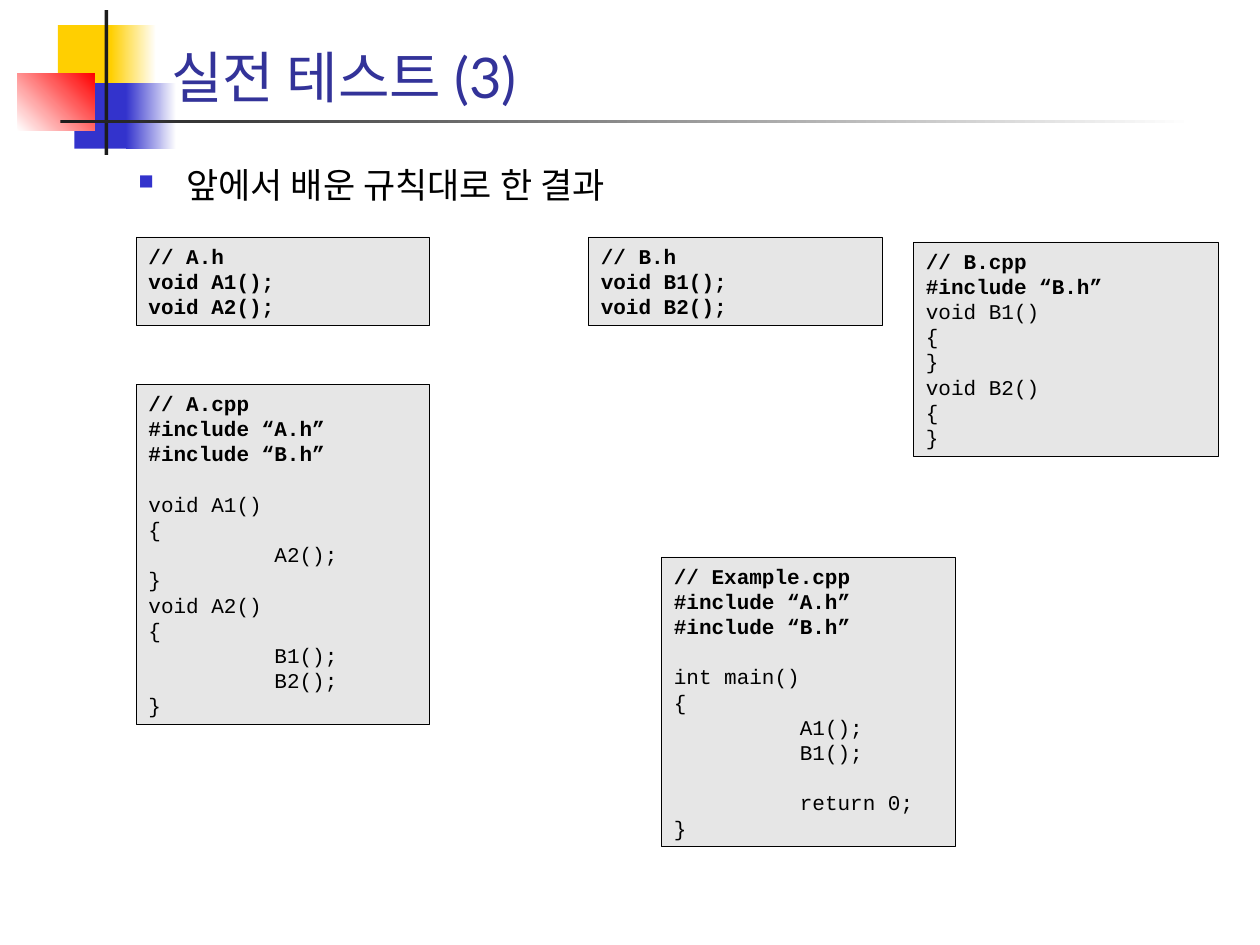
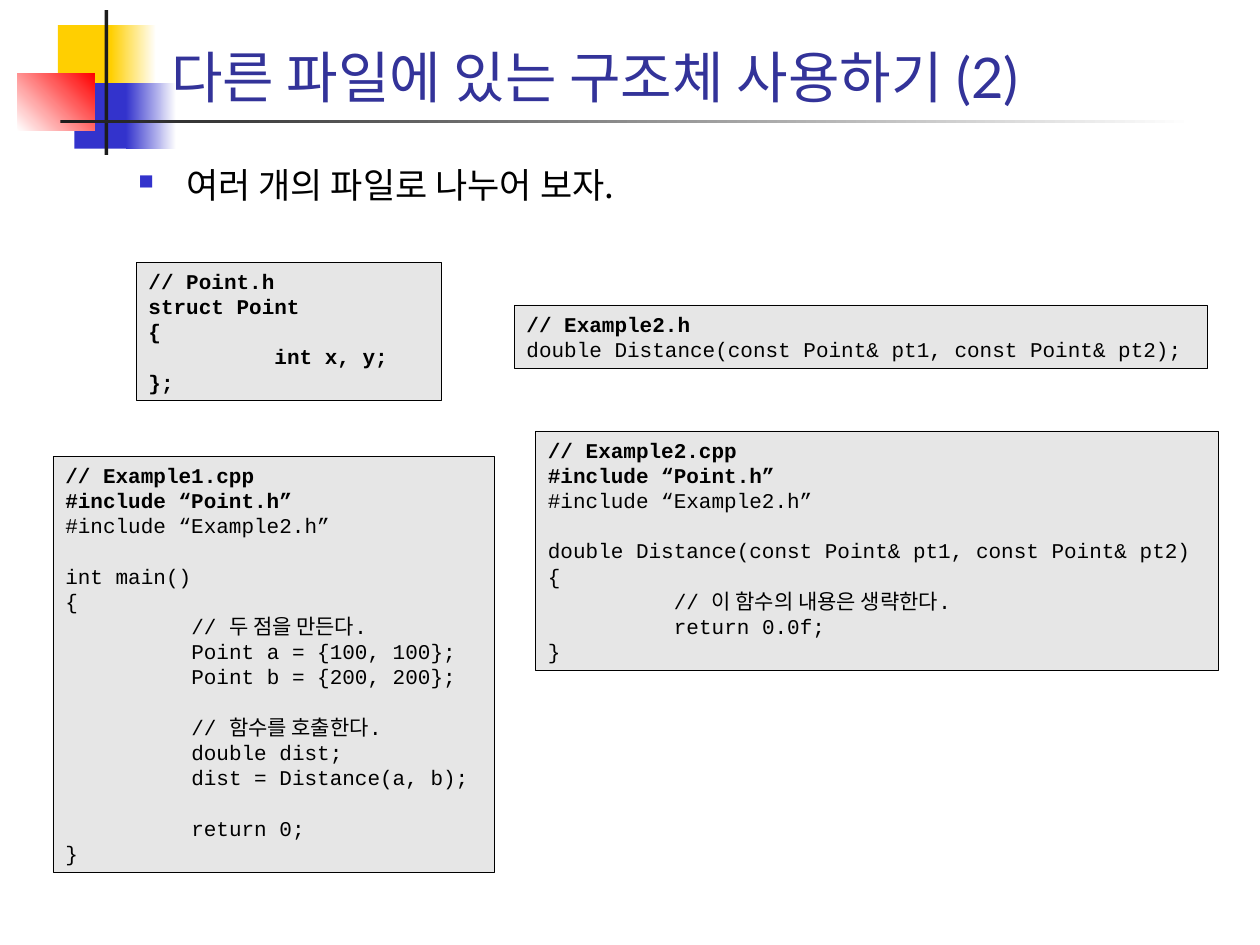
from lxml.etree import SubElement
from pptx import Presentation
from pptx.dml.color import RGBColor
from pptx.enum.shapes import MSO_SHAPE
from pptx.enum.text import MSO_ANCHOR, MSO_AUTO_SIZE, PP_ALIGN
from pptx.oxml.ns import qn
from pptx.util import Inches, Pt

WHITE = RGBColor(0xFF, 0xFF, 0xFF)
BLACK = RGBColor(0x00, 0x00, 0x00)
INK = RGBColor(0x1C, 0x1C, 0x1C)
GOLD = RGBColor(0xFF, 0xCF, 0x01)
BLUE = RGBColor(0x33, 0x33, 0xCC)
NAVY = RGBColor(0x33, 0x33, 0x99)
RED = RGBColor(0xFF, 0x00, 0x00)
GRAY = RGBColor(0xE6, 0xE6, 0xE6)

HANGUL = "Noto Sans CJK KR"
TITLE = {"name": "Lato", "size": Pt(32)}
POINT = {"name": HANGUL, "size": Pt(20)}
CODE = {"name": "Courier New", "size": Pt(12)}
LINE = 0.2  # height of a code line, inches
PAD = 0.05

# left, top, width, height, start colour, end colour, angle
BANDS = [
    (0.46, 0.2, 0.48, 0.52, GOLD, None, 0),
    (0.88, 0.2, 0.36, 0.52, GOLD, WHITE, 0),
    (0.59, 0.66, 0.46, 0.52, BLUE, None, 0),
    (1, 0.66, 0.4, 0.52, BLUE, WHITE, 0),
    (0.14, 0.58, 0.61, 0.46, WHITE, RED, 45),
    (0.83, 0.08, 0.03, 1.15, INK, None, 0),
    (0.48, 0.95, 9, 0.03, INK, WHITE, 0),
]

# Each code box: left, top, width, count of bold lines, code
SLIDES = [
    ("실전 테스트 (3)", "앞에서 배운 규칙대로 한 결과", [
        (5.25, 4.42, 2.33, 3, [
            "// Example.cpp", "#include “A.h”", "#include “B.h”", "",
            "int main()", "{", "\tA1();", "\tB1();", "", "\treturn 0;", "}"]),
        (1.08, 3.05, 2.33, 3, [
            "// A.cpp", "#include “A.h”", "#include “B.h”", "",
            "void A1()", "{", "\tA2();", "}",
            "void A2()", "{", "\tB1();", "\tB2();", "}"]),
        (7.25, 1.92, 2.42, 2, [
            "// B.cpp", "#include “B.h”",
            "void B1()", "{", "}", "void B2()", "{", "}"]),
        (1.08, 1.88, 2.33, 3, ["// A.h", "void A1();", "void A2();"]),
        (4.67, 1.88, 2.33, 3, ["// B.h", "void B1();", "void B2();"]),
    ]),
    ("다른 파일에 있는 구조체 사용하기 (2)", "여러 개의 파일로 나누어 보자.", [
        (1.08, 2.08, 2.42, 5, [
            "// Point.h", "struct Point", "{", "\tint x, y;", "};"]),
        (4.25, 3.42, 5.42, 2, [
            "// Example2.cpp", "#include “Point.h”", "#include “Example2.h”", "",
            "double Distance(const Point& pt1, const Point& pt2)", "{",
            "\t// 이 함수의 내용은 생략한다.", "\treturn 0.0f;", "}"]),
        (4.08, 2.42, 5.5, 1, [
            "// Example2.h",
            "double Distance(const Point& pt1, const Point& pt2);"]),
        (0.42, 3.62, 3.5, 2, [
            "// Example1.cpp", "#include “Point.h”", "#include “Example2.h”", "",
            "int main()", "{", "\t// 두 점을 만든다.",
            "\tPoint a = {100, 100};", "\tPoint b = {200, 200};", "",
            "\t// 함수를 호출한다.", "\tdouble dist;",
            "\tdist = Distance(a, b);", "", "\treturn 0;", "}"]),
    ]),
]


class Deck:
    """Holds the presentation, its style and the current slide."""

    def __init__(self):
        self.prs = Presentation()
        self.prs.slide_width = Inches(10)
        self.prs.slide_height = Inches(7.5)

    def start(self):
        self.slide = self.prs.slides.add_slide(self.prs.slide_layouts[6])
        for band in BANDS:
            self.band(*band)

    def rect(self, *place):
        shape = self.slide.shapes.add_shape(
            MSO_SHAPE.RECTANGLE, *map(Inches, place))
        shape.shadow.inherit = False
        return shape

    def band(self, left, top, width, height, first, last, angle):
        shape = self.rect(left, top, width, height)
        shape.line.fill.background()
        if last is None:
            shape.fill.solid()
            shape.fill.fore_color.rgb = first
            return
        shape.fill.gradient()
        shape.fill.gradient_angle = angle
        for stop, color, spot in zip(shape.fill.gradient_stops, (first, last), (0, 1)):
            stop.color.rgb = color
            stop.position = spot

    def text(self, para, words, style, color, bold=False):
        run = para.add_run()
        run.text = words
        for key, value in {**style, "bold": bold}.items():
            setattr(run.font, key, value)
        run.font.color.rgb = color
        east = SubElement(run._r.get_or_add_rPr(), qn("a:ea"))
        east.set("typeface", HANGUL)

    def label(self, place, anchor):
        """Add an empty text box and return its first paragraph."""
        frame = self.slide.shapes.add_textbox(*map(Inches, place)).text_frame
        frame.word_wrap = True
        frame.vertical_anchor = anchor
        return frame.paragraphs[0]

    def title(self, words):
        para = self.label((1.26, 0.17, 8.52, 0.75), MSO_ANCHOR.BOTTOM)
        self.text(para, words, TITLE, NAVY)

    def point(self, words):
        para = self.label((1, 1.25, 8.5, 5.58), MSO_ANCHOR.TOP)
        props = para._p.get_or_add_pPr()
        props.set("marL", str(Inches(0.38)))
        props.set("indent", str(-Inches(0.38)))
        tint = SubElement(props, qn("a:buClr"))
        SubElement(tint, qn("a:srgbClr")).set("val", str(BLUE))
        SubElement(props, qn("a:buSzPct")).set("val", "60000")
        SubElement(props, qn("a:buChar")).set("char", "■")
        self.text(para, words, POINT, BLACK)

    def code(self, left, top, width, strong, lines):
        """Add a code box; an empty line becomes space before the next one."""
        box = self.rect(left, top, width, 2 * PAD + LINE * len(lines))
        box.fill.solid()
        box.fill.fore_color.rgb = GRAY
        box.line.color.rgb = BLACK
        box.line.width = Pt(0.25)
        frame = box.text_frame
        look = {"word_wrap": True, "vertical_anchor": MSO_ANCHOR.TOP,
                "auto_size": MSO_AUTO_SIZE.SHAPE_TO_FIT_TEXT,
                "margin_top": Inches(PAD), "margin_bottom": Inches(PAD)}
        for key, value in look.items():
            setattr(frame, key, value)
        for row, words in enumerate(lines):
            if not words:
                continue
            para = frame.add_paragraph() if row else frame.paragraphs[0]
            tabs = SubElement(para._p.get_or_add_pPr(), qn("a:tabLst"))
            tab = SubElement(tabs, qn("a:tab"))
            tab.set("pos", str(Inches(1)))
            tab.set("algn", "l")
            para.alignment = PP_ALIGN.LEFT
            para.line_spacing = Inches(LINE)
            if row and not lines[row - 1]:
                para.space_before = Inches(LINE)
            self.text(para, words, CODE, BLACK, row < strong)


def main():
    deck = Deck()
    for title, point, boxes in SLIDES:
        deck.start()
        deck.title(title)
        deck.point(point)
        for box in boxes:
            deck.code(*box)
    deck.prs.save("out.pptx")


if __name__ == "__main__":
    main()
